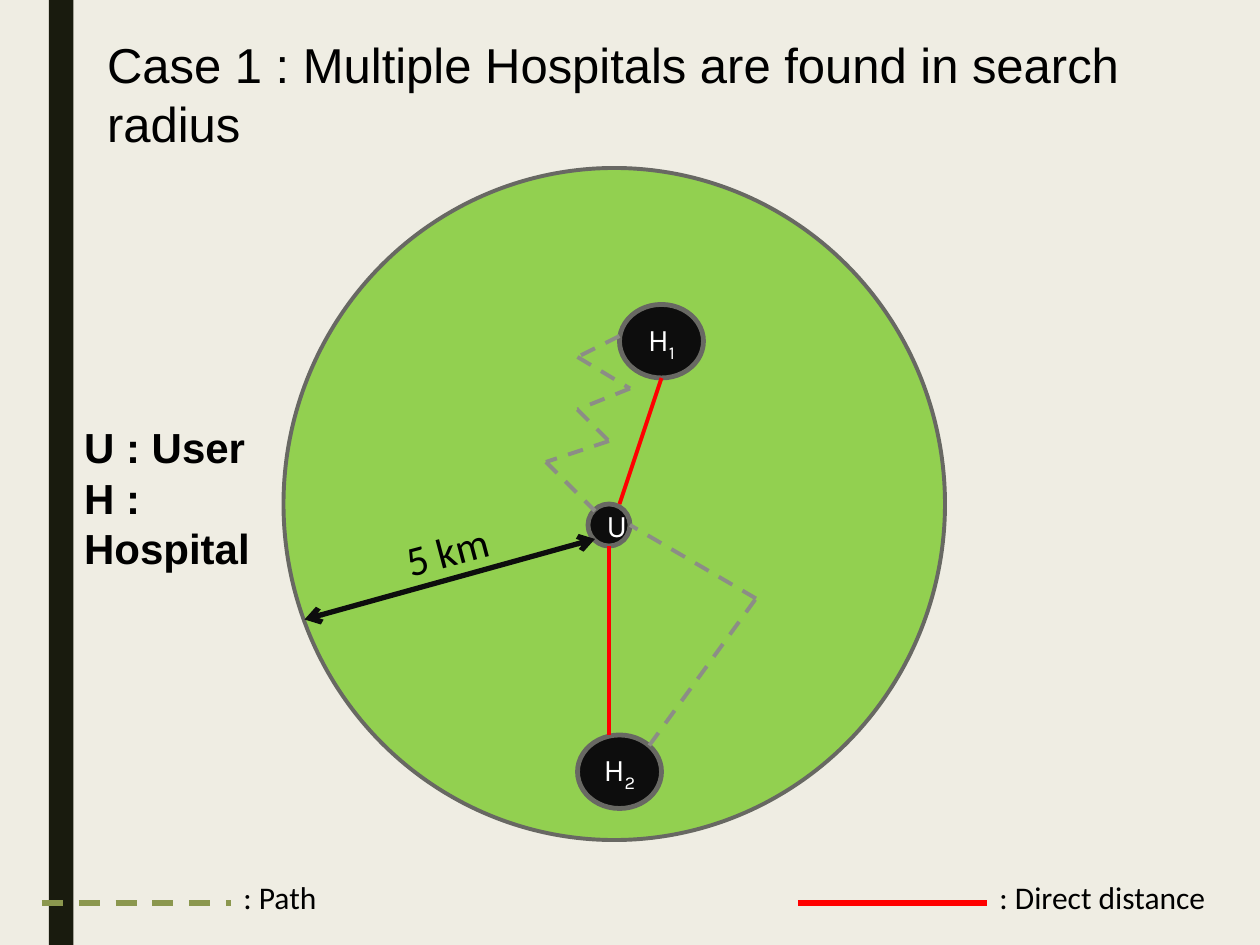
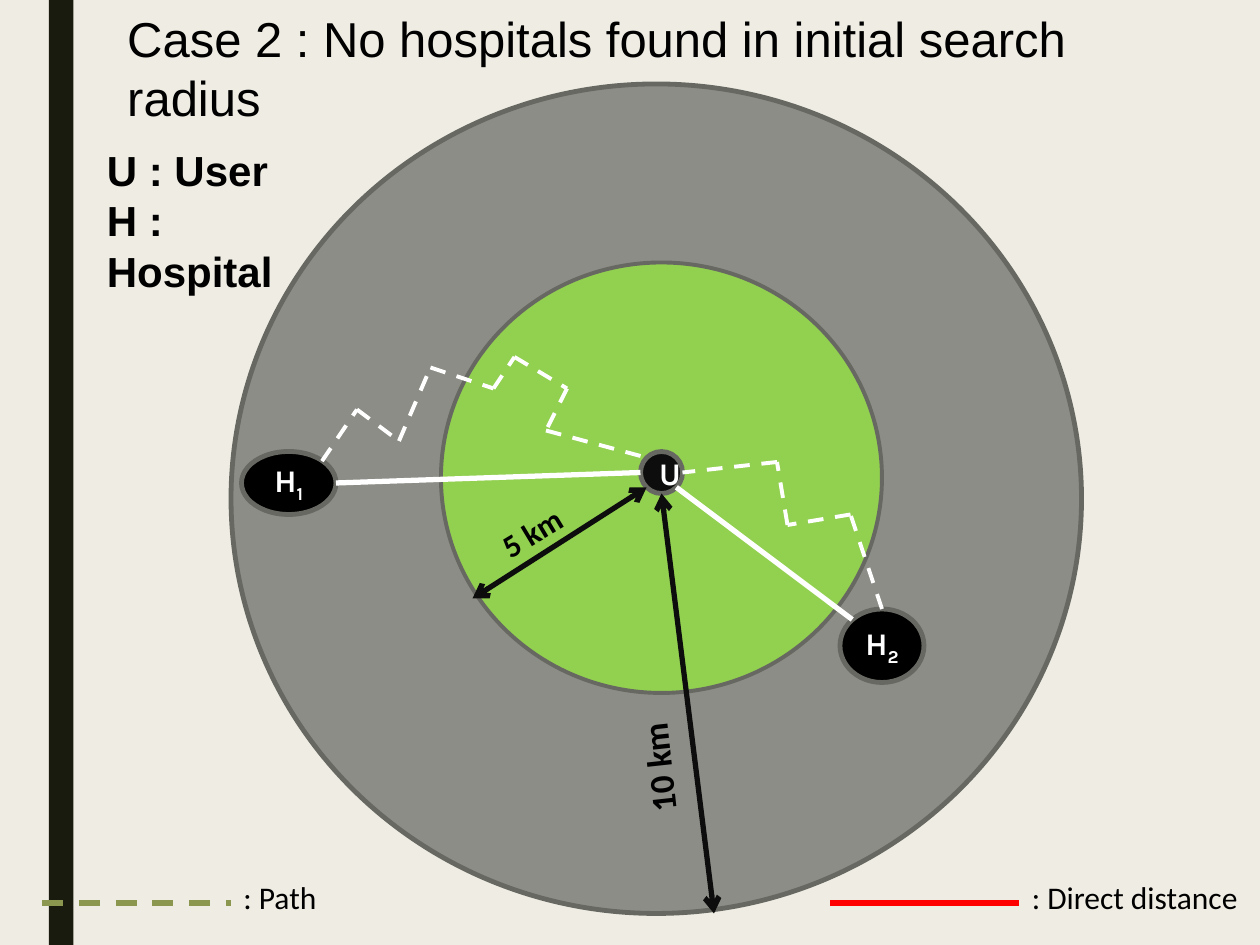
from itertools import pairwise

from lxml import etree
from pptx import Presentation
from pptx.dml.color import RGBColor
from pptx.enum.dml import MSO_LINE
from pptx.enum.shapes import MSO_CONNECTOR, MSO_SHAPE
from pptx.enum.text import MSO_ANCHOR, MSO_AUTO_SIZE, PP_ALIGN
from pptx.oxml.ns import qn
from pptx.util import Pt

RECT, OVAL, NODE = MSO_SHAPE.RECTANGLE, MSO_SHAPE.OVAL, MSO_SHAPE.FLOWCHART_CONNECTOR
STRAIGHT, DASH = MSO_CONNECTOR.STRAIGHT, MSO_LINE.DASH
LEFT, CENTER = PP_ALIGN.LEFT, PP_ALIGN.CENTER
TOP, MIDDLE = MSO_ANCHOR.TOP, MSO_ANCHOR.MIDDLE

COLORS = {
    "paper": "EFEDE3", "band": "191B0E", "green": "92D050", "gray": "8C8D86",
    "outline": "686863", "ink": "0D0D0D", "black": "000000", "white": "FFFFFF",
    "red": "FF0000", "olive": "8B974E",
}


def rgb(name):
    return RGBColor.from_string(COLORS[name])


def write(tf, text, size=18, font="Calibri", color="black", bold=False,
          align=LEFT, anchor=TOP, wrap=False, sub=None):
    """Fill a text frame, one paragraph a line; sub is a closing subscript."""
    tf.auto_size = MSO_AUTO_SIZE.NONE
    tf.word_wrap = wrap
    tf.vertical_anchor = anchor
    for i, line in enumerate(text.split("\n")):
        p = tf.paragraphs[0] if i == 0 else tf.add_paragraph()
        p.alignment = align
        for part, base in ((line, None), (sub, "-25000")):
            if not part:
                continue
            r = p.add_run()
            r.text = part
            r.font.size, r.font.name, r.font.bold = Pt(size), font, bold
            r.font.color.rgb = rgb(color)
            if base:
                r.font._element.set("baseline", base)


class Deck:
    def __init__(self):
        self.prs = Presentation()
        self.prs.slide_width, self.prs.slide_height = Pt(720), Pt(540)
        fill = self.prs.slide_master.background.fill
        fill.solid()
        fill.fore_color.rgb = rgb("paper")
        self.s = None

    def slide(self, title, x, y, w):
        self.s = self.prs.slides.add_slide(self.prs.slide_layouts[5])
        sp = self.s.shapes.title
        sp.left, sp.top, sp.width, sp.height = Pt(x), Pt(y), Pt(w), Pt(76)
        write(sp.text_frame, title, size=28, font="Arial", wrap=True)
        self.shape(RECT, 28, 0, 14, 540, "band")

    def shape(self, kind, x, y, w, h, fill, line_width=0):
        sp = self.s.shapes.add_shape(kind, Pt(x), Pt(y), Pt(w), Pt(h))
        sp.shadow.inherit = False
        sp.fill.solid()
        sp.fill.fore_color.rgb = rgb(fill)
        if line_width:
            sp.line.color.rgb = rgb("outline")
            sp.line.width = Pt(line_width)
        else:
            sp.line.fill.background()
        return sp

    def node(self, text, x, y, w, h, fill="ink", **fmt):
        sp = self.shape(NODE, x, y, w, h, fill, 2.75)
        write(sp.text_frame, text, font="Karla", color="white",
              align=CENTER, anchor=MIDDLE, wrap=True, **fmt)

    def label(self, text, x, y, w, h, rotation=0, **fmt):
        sp = self.s.shapes.add_textbox(Pt(x), Pt(y), Pt(w), Pt(h))
        sp.rotation = rotation
        write(sp.text_frame, text, **fmt)

    def line(self, start, end, color, width=2.25, dashed=False, arrows=False):
        c = self.s.shapes.add_connector(STRAIGHT, *map(Pt, start + end))
        c.line.color.rgb = rgb(color)
        c.line.width = Pt(width)
        if dashed:
            c.line.dash_style = DASH
        if arrows:
            ln = c.line._get_or_add_ln()
            for tag in ("a:headEnd", "a:tailEnd"):
                etree.SubElement(ln, qn(tag), type="arrow")
        etree.SubElement(c._element.spPr, qn("a:effectLst"))

    def route(self, points, color):
        for start, end in pairwise(points):
            self.line(start, end, color, dashed=True)

    def radius(self, start, end):
        self.line(start, end, "ink", 3, arrows=True)

    def key(self, x, y):
        self.label("U : User\nH : Hospital", x, y, 125, 94,
                   size=24, font="Arial", bold=True, wrap=True)

    def legend(self, direct_x):
        entries = ((24, "olive", True, ": Path", 65),
                   (direct_x, "red", False, ": Direct distance", 137.5))
        for x, color, dashed, text, w in entries:
            self.line((x, 516), (x + 108, 516), color, 3, dashed)
            self.label(text, x + 108, 498, w, 29)


def multiple_hospitals(d):
    d.slide("Case 1 : Multiple Hospitals are found in search radius", 54, 16, 634)
    d.shape(OVAL, 162, 96, 378, 384, "green", 2.25)
    d.node("U", 336, 288, 24, 24)
    d.node("H", 354, 174, 48, 42, sub="1")
    d.node("H", 330, 420, 48, 42, sub="2")
    d.route([(354, 192), (330, 204), (360, 222), (330, 234), (348, 252),
             (312, 264), (340, 292)], "gray")
    d.route([(371, 426), (432, 342), (360, 300)], "gray")
    d.line((354, 288), (378, 216), "red")
    d.line((348, 312), (348, 420), "red")
    d.radius((174, 354), (340, 308))
    d.label("5 km", 224.5, 296.5, 62.5, 36.5, rotation=345.1, size=24)
    d.key(41, 237.5)
    d.legend(456)


def no_hospitals_nearby(d):
    d.slide("Case 2 : No hospitals found in initial search radius", 65.5, 1.5, 599)
    d.shape(OVAL, 132, 48, 486, 474, "gray", 2.75)
    d.shape(OVAL, 252, 150, 252, 246, "green", 2.25)
    d.node("U", 366, 258, 24, 24, bold=True)
    d.node("H", 138, 258, 54, 36, "black", bold=True, sub="1")
    d.node("H", 480, 348, 48, 42, "black", bold=True, sub="2")
    d.route([(184, 263.5), (204, 234), (228, 252), (246, 210), (282, 222),
             (294, 204), (324, 222), (312, 246), (369.5, 261.5)], "white")
    d.route([(504, 348), (486, 294), (450, 300), (444, 264), (390, 270)], "white")
    d.line((192, 276), (366, 270), "white", 3)
    d.line((487, 354), (386.5, 278.5), "white", 3)
    d.radius((270, 342), (369.5, 278.5))
    d.radius((378, 282), (408, 522))
    d.label("5 km", 278.5, 289.5, 51, 29, rotation=329, bold=True)
    d.label("10 km", 343.5, 422.5, 65.5, 31.5, rotation=263.8, size=20, bold=True)
    d.key(54, 79)
    d.legend(474.5)


def main():
    d = Deck()
    multiple_hospitals(d)
    no_hospitals_nearby(d)
    d.prs.save("out.pptx")


if __name__ == "__main__":
    main()
